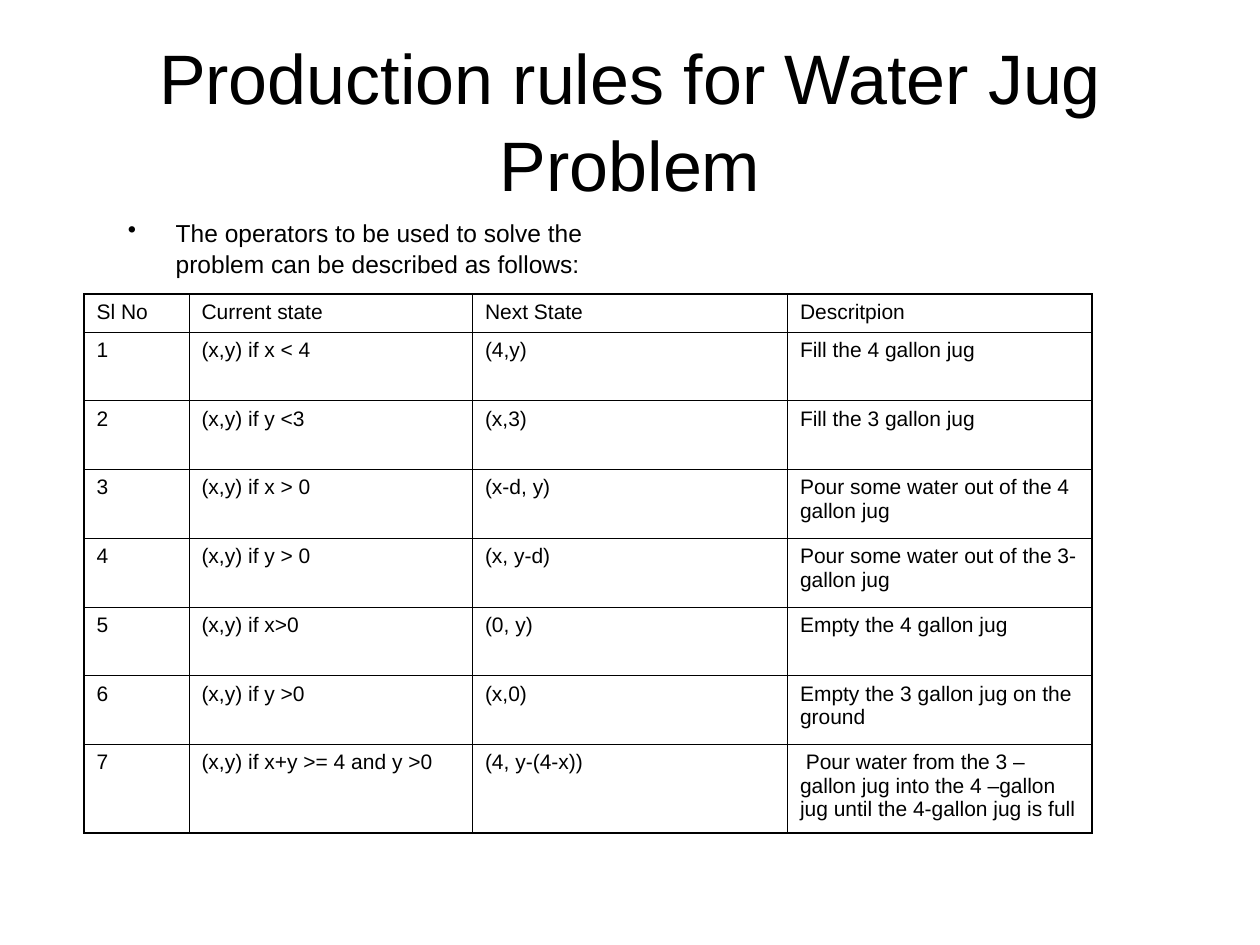
from typing import NamedTuple

from lxml import etree
from pptx import Presentation
from pptx import util as u
from pptx.dml.color import RGBColor
from pptx.enum import text
from pptx.oxml.ns import qn

BLACK = RGBColor(0x00, 0x00, 0x00)
FONT = "Arial"
UNIT = u.Inches(1) // 12  # grid step: 120 columns by 90 rows on the slide
OUTER, INNER = u.Pt(1.08), u.Pt(0.45)

COLUMNS = (10, 27, 30, 29)  # grid steps
ROW_HEIGHTS = (3.6,) + (6.55,) * 6 + (8.45,)  # grid steps


class Box(NamedTuple):
    """A place on the grid, in grid steps."""
    left: float
    top: float
    width: float
    height: float

    def emu(self) -> list[int]:
        return [round(v * UNIT) for v in self]


class Rule(NamedTuple):
    number: str
    current: str
    following: str
    description: str


RULES = (
    Rule("Sl No", "Current state", "Next State", "Descritpion"),
    Rule("1", "(x,y) if x < 4", "(4,y)", "Fill the 4 gallon jug"),
    Rule("2", "(x,y) if y <3", "(x,3)", "Fill the 3 gallon jug"),
    Rule("3", "(x,y) if x > 0", "(x-d, y)", "Pour some water out of the 4 gallon jug"),
    Rule("4", "(x,y) if y > 0", "(x, y-d)", "Pour some water out of the 3-gallon jug"),
    Rule("5", "(x,y) if x>0", "(0, y)", "Empty the 4 gallon jug"),
    Rule("6", "(x,y) if y >0", "(x,0)", "Empty the 3 gallon jug on the ground"),
    Rule("7", "(x,y) if x+y >= 4 and y >0", "(4, y-(4-x))",
         " Pour water from the 3 –gallon jug into the 4 –gallon jug "
         "until the 4-gallon jug is full"),
)


def write(tf, words: str, *, size: float, align=text.PP_ALIGN.LEFT,
          spacing: float | None = None, bullet_indent: int = 0) -> None:
    tf.word_wrap = True
    p = tf.paragraphs[0]
    p.alignment = align
    p.line_spacing = spacing
    if bullet_indent:
        props = p._p.get_or_add_pPr()
        props.set("marL", str(bullet_indent))
        props.set("indent", str(-bullet_indent))
        etree.SubElement(props, qn("a:buChar")).set("char", "•")
    r = p.add_run()
    r.text = words
    r.font.name, r.font.size = FONT, u.Pt(size)
    r.font.color.rgb = BLACK


def add_text(s, box: Box, words: str, *, anchor=text.MSO_ANCHOR.TOP, **fmt) -> None:
    tf = s.shapes.add_textbox(*box.emu()).text_frame
    tf.vertical_anchor = anchor
    write(tf, words, **fmt)


def set_border(cell, side: str, width: int) -> None:
    line = etree.SubElement(cell._tc.get_or_add_tcPr(), qn(f"a:ln{side}"))
    line.set("w", str(int(width)))
    fill = etree.SubElement(line, qn("a:solidFill"))
    etree.SubElement(fill, qn("a:srgbClr")).set("val", str(BLACK))


def add_rules_table(s, left: float, top: float) -> None:
    box = Box(left, top, sum(COLUMNS), sum(ROW_HEIGHTS))
    last_row, last_col = len(RULES) - 1, len(COLUMNS) - 1
    table = s.shapes.add_table(len(RULES), len(COLUMNS), *box.emu()).table
    table.first_row = table.horz_banding = False
    for column, width in zip(table.columns, COLUMNS):
        column.width = width * UNIT
    for row, height in zip(table.rows, ROW_HEIGHTS):
        row.height = round(height * UNIT)
    for i, rule in enumerate(RULES):
        for j, words in enumerate(rule):
            cell = table.cell(i, j)
            on_edge = {"L": j == 0, "R": j == last_col, "T": i == 0, "B": i == last_row}
            for side, outer in on_edge.items():
                set_border(cell, side, OUTER if outer else INNER)
            cell.fill.background()
            write(cell.text_frame, words, size=12)


def main() -> None:
    prs = Presentation()
    prs.slide_width, prs.slide_height = 120 * UNIT, 90 * UNIT
    s = prs.slides.add_slide(prs.slide_layouts[6])
    add_text(s, Box(6, 3.8, 108, 15), "Production rules for Water Jug Problem",
             size=40, align=text.PP_ALIGN.CENTER, spacing=1.04,
             anchor=text.MSO_ANCHOR.MIDDLE)
    add_text(s, Box(11, 20, 53, 7),
             "The operators to be used to solve the problem can be described as follows:",
             size=14, spacing=1.06, bullet_indent=u.Inches(0.38))
    add_rules_table(s, left=8, top=28)
    prs.save("out.pptx")


if __name__ == "__main__":
    main()
